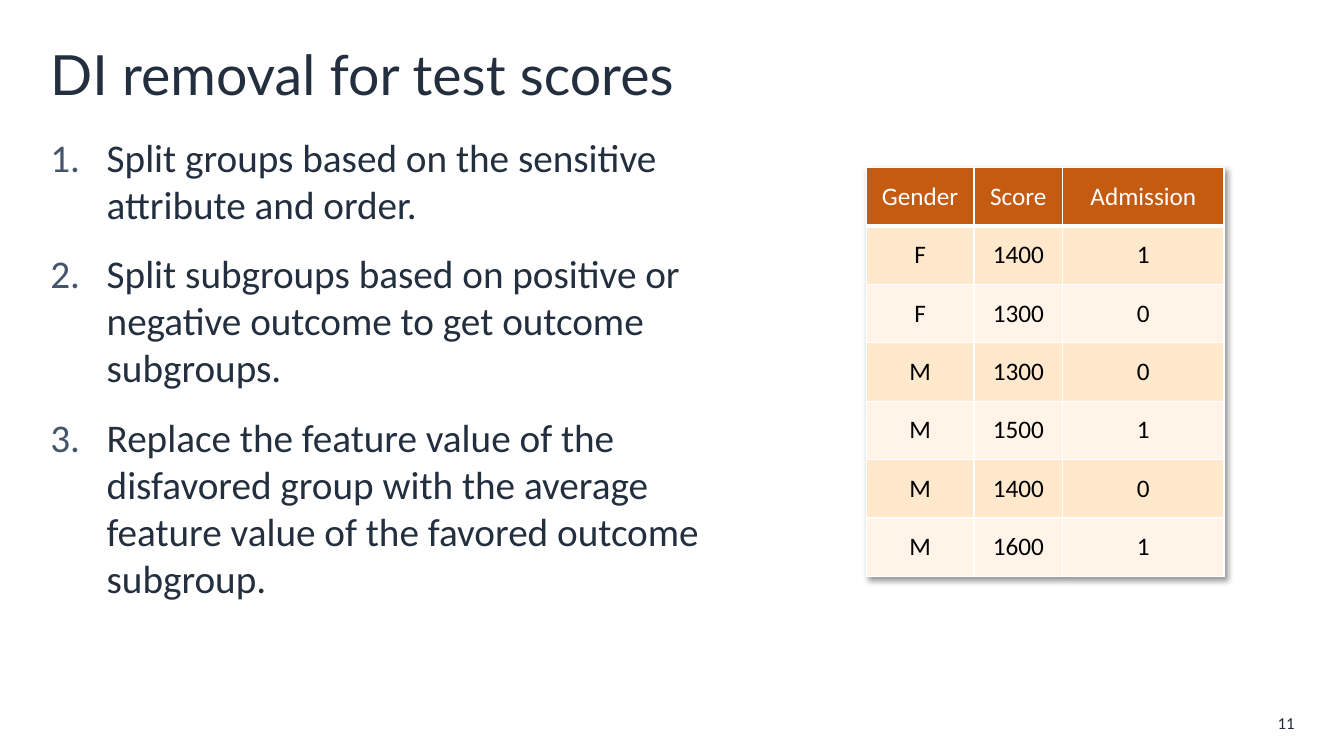
from dataclasses import dataclass

from lxml import etree
from pptx import Presentation, util as u
from pptx.dml.color import RGBColor
from pptx.enum import text
from pptx.oxml import ns


@dataclass(frozen=True)
class Theme:
    ink: str = "232F3E"
    mark: str = "44546A"
    head: str = "C55A11"
    odd: str = "FFE8CC"
    even: str = "FFF4E7"
    white: str = "FFFFFF"
    black: str = "000000"
    body_font: str = "Calibri"
    title_font: str = "Lato"
    title: float = 39.6
    body: float = 28
    cell: float = 18
    page: float = 12


THEME = Theme()
STEPS = [
    "Split groups based on the sensitive attribute and order.",
    "Split subgroups based on positive or negative outcome to get outcome subgroups.",
    "Replace the feature value of the disfavored group with the average "
    "feature value of the favored outcome subgroup.",
]
SCORES = [
    ("Gender", "Score", "Admission"),
    ("F", "1400", "1"),
    ("F", "1300", "0"),
    ("M", "1300", "0"),
    ("M", "1500", "1"),
    ("M", "1400", "0"),
    ("M", "1600", "1"),
]
WIDTHS = (1.07, 0.88, 1.6)
ROW = 0.58


def apply(item, values):
    for name, value in values.items():
        setattr(item, name, value)


def add_node(parent, tag, **values):
    return etree.SubElement(parent, ns.qn(tag), values)


def style(para, size, color, font=THEME.body_font, **values):
    apply(para, values)
    apply(para.font, {"size": u.Pt(size), "name": font, "bold": False})
    para.font.color.rgb = RGBColor.from_string(color)


def add_box(slide, place, anchor):
    frame = slide.shapes.add_textbox(*map(u.Inches, place)).text_frame
    apply(frame, {"word_wrap": True, "vertical_anchor": anchor})
    return frame


def add_line(slide, place, words, size, font, align):
    para = add_box(slide, place, text.MSO_ANCHOR.MIDDLE).paragraphs[0]
    para.text = words
    style(para, size, THEME.ink, font, alignment=align)


def number(para):
    props = para._p.get_or_add_pPr()
    props.set("marL", str(u.Inches(0.56)))
    props.set("indent", str(-u.Inches(0.56)))
    add_node(add_node(props, "a:buClr"), "a:srgbClr", val=THEME.mark)
    add_node(props, "a:buFont", typeface="+mj-lt")
    add_node(props, "a:buAutoNum", type="arabicPeriod")


def add_steps(slide, place, steps):
    frame = add_box(slide, place, text.MSO_ANCHOR.TOP)
    for index, words in enumerate(steps):
        para = frame.paragraphs[0] if index == 0 else frame.add_paragraph()
        para.text = words
        number(para)
        style(para, THEME.body, THEME.ink,
              space_before=u.Pt(10 if index else 0), space_after=u.Pt(6))


def add_edges(cell, widths):
    props = cell._tc.get_or_add_tcPr()
    for index, (side, width) in enumerate(widths.items()):
        line = etree.Element(ns.qn(f"a:ln{side}"), w=str(u.Pt(width)))
        add_node(add_node(line, "a:solidFill"), "a:srgbClr", val=THEME.white)
        props.insert(index, line)


def add_shadow(table):
    effects = etree.Element(ns.qn("a:effectLst"))
    shadow = add_node(effects, "a:outerShdw", blurRad=str(u.Pt(4)),
                      dist=str(u.Pt(3)), dir="2700000", algn="tl")
    color = add_node(shadow, "a:srgbClr", val=THEME.black)
    add_node(color, "a:alpha", val="40000")
    table._tbl.tblPr.insert(0, effects)


def fill_cell(cell, words, row):
    fill = THEME.head if row == 0 else (THEME.even, THEME.odd)[row % 2]
    cell.text = words
    cell.vertical_anchor = text.MSO_ANCHOR.MIDDLE
    cell.fill.solid()
    cell.fill.fore_color.rgb = RGBColor.from_string(fill)
    style(cell.text_frame.paragraphs[0], THEME.cell,
          THEME.black if row else THEME.white, alignment=text.PP_ALIGN.CENTER)
    add_edges(cell, {"L": 1, "R": 1, "T": 3 if row == 1 else 1,
                     "B": 1 if row else 3})


def add_grid(slide, left, top, rows):
    size = (left, top, sum(WIDTHS), ROW * len(rows))
    table = slide.shapes.add_table(
        len(rows), len(WIDTHS), *map(u.Inches, size)).table
    for column, width in zip(table.columns, WIDTHS):
        column.width = u.Inches(width)
    for row, values in enumerate(rows):
        table.rows[row].height = u.Inches(ROW)
        for column, words in enumerate(values):
            fill_cell(table.cell(row, column), words, row)
    add_shadow(table)


def main():
    deck = Presentation()
    apply(deck, {"slide_width": u.Inches(13.33), "slide_height": u.Inches(7.5)})
    slide = deck.slides.add_slide(deck.slide_layouts[6])
    add_line(slide, (12.41, 7.05, 0.53, 0.25), "11", THEME.page,
             THEME.body_font, text.PP_ALIGN.RIGHT)
    add_line(slide, (0.4, 0.33, 12.54, 0.8), "DI removal for test scores",
             THEME.title, THEME.title_font, text.PP_ALIGN.LEFT)
    add_steps(slide, (0.4, 1.27, 7.05, 5.76), STEPS)
    add_grid(slide, 8.59, 1.66, SCORES)
    deck.save("out.pptx")


if __name__ == "__main__":
    main()
